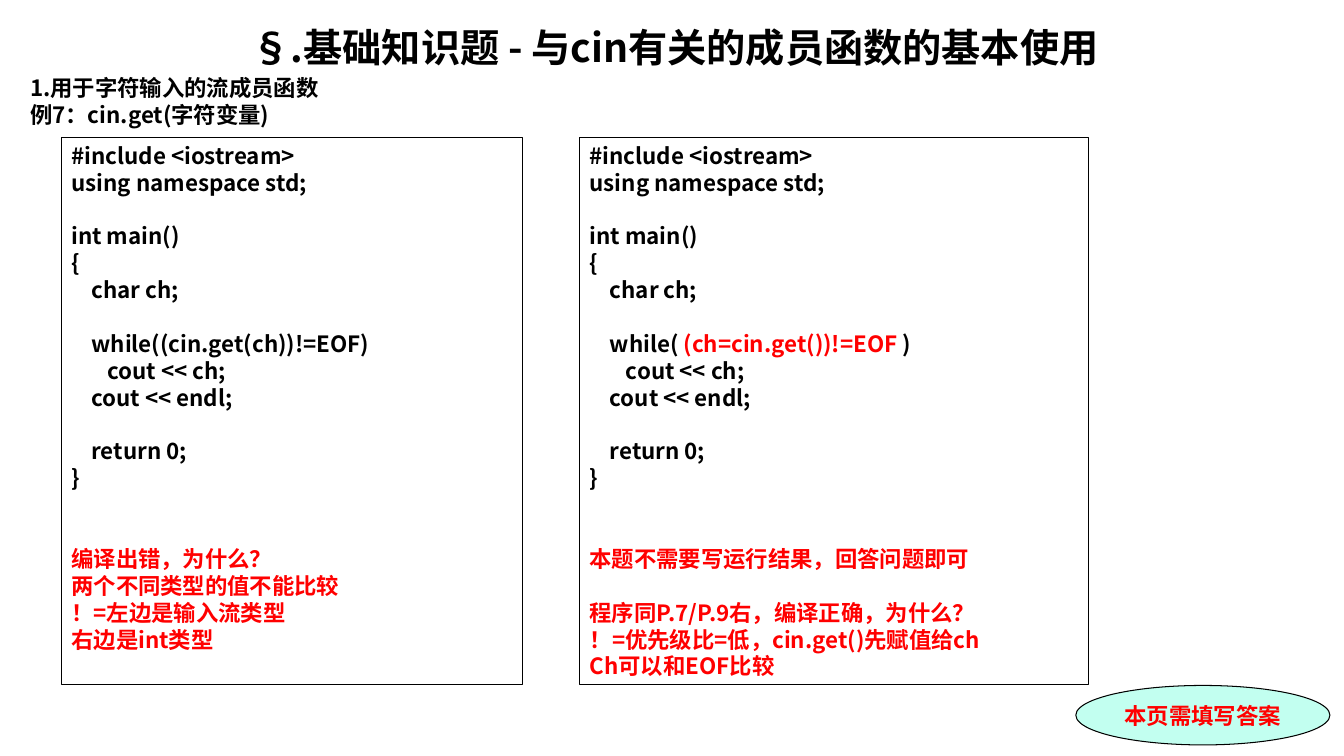
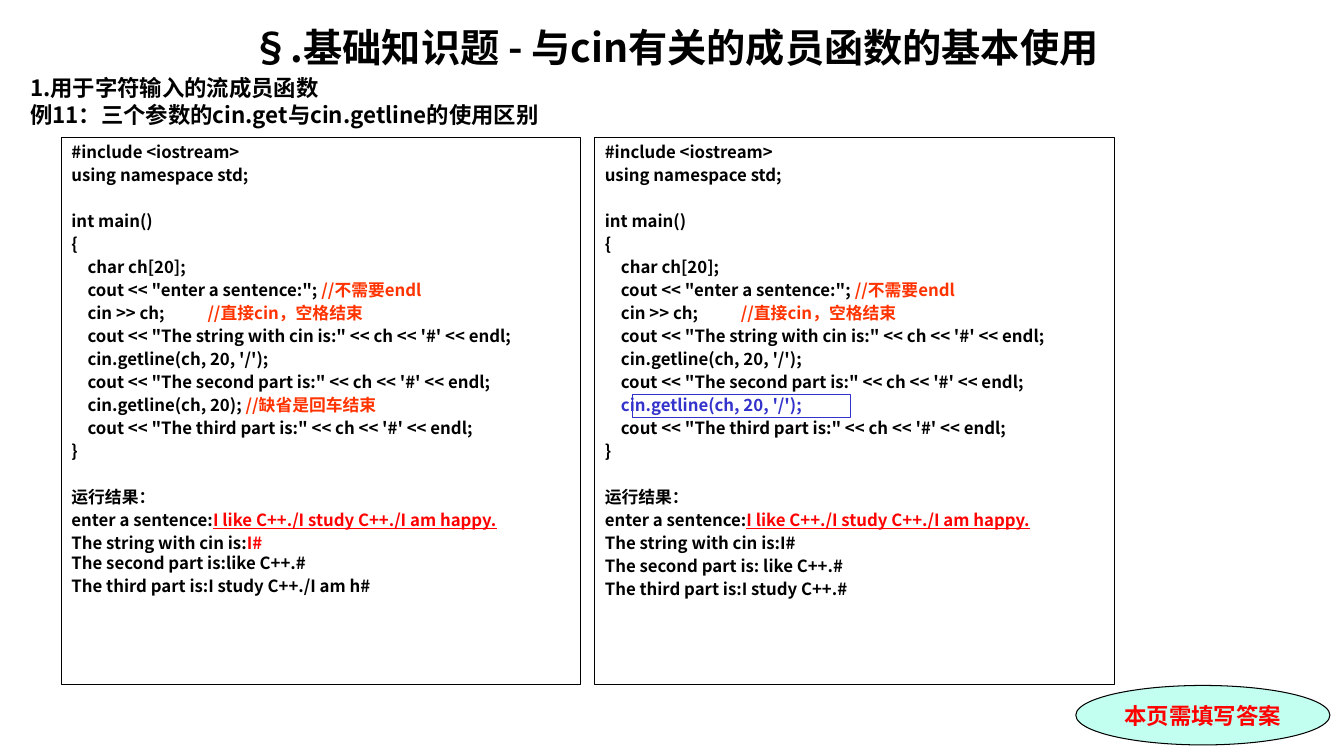
"""Builds two exercise slides about the input member functions of cin."""
from dataclasses import dataclass
from typing import NamedTuple

from lxml import etree
from pptx import Presentation
from pptx.dml.color import RGBColor
from pptx.enum.shapes import MSO_SHAPE
from pptx.enum.text import MSO_ANCHOR, PP_ALIGN
from pptx.oxml.ns import qn
from pptx.util import Inches, Pt

RECT, OVAL = MSO_SHAPE.RECTANGLE, MSO_SHAPE.OVAL
TOP, MIDDLE = MSO_ANCHOR.TOP, MSO_ANCHOR.MIDDLE
LEFT, CENTER = PP_ALIGN.LEFT, PP_ALIGN.CENTER

BLACK = RGBColor(0x00, 0x00, 0x00)
RED = RGBColor(0xFF, 0x00, 0x00)
ORANGE = RGBColor(0xFF, 0x33, 0x00)
BLUE = RGBColor(0x33, 0x33, 0xCC)
MINT = RGBColor(0xC2, 0xFF, 0xF0)

SANS, SERIF = "Noto Sans CJK SC", "Times New Roman"
LEADING = 1.2
PANEL_TOP, PANEL_HEIGHT = 1.36, 5.43
TITLE = "§.基础知识题 - 与cin有关的成员函数的基本使用"
SECTION = "1.用于字符输入的流成员函数"
BADGE = "本页需填写答案"


class Seg(NamedTuple):
    """A stretch of text in one format."""
    text: str
    color: RGBColor = BLACK
    underline: bool = False


@dataclass
class Line:
    """A line of a panel, with the number of empty lines above it."""
    segs: list[Seg]
    blanks: int = 0
    joined: bool = False


@dataclass
class Panel:
    """A framed listing."""
    left: float
    width: float
    lines: list[Line]


@dataclass
class Style:
    """The text size, paragraph gap and tab stops of a listing."""
    size: int
    gap: int
    tabs: tuple[float, ...]


LARGE = Style(16, 0, (0.2, 0.36))
SMALL = Style(12, 2, (0.16, 1.35))


def line(text: str, blanks: int = 0, color: RGBColor = BLACK) -> Line:
    """Make a line of one colour."""
    return Line([Seg(text, color)], blanks)


HEAD = [line("#include <iostream>"), line("using namespace std;"),
        line("int main()", 1), line("{")]


def loop_lines(loop: list[Seg], answer: list[Line]) -> list[Line]:
    """List the character loop and the answer below it."""
    return [*HEAD, line("\tchar ch;"), Line(loop, 1), line("\t\tcout << ch;"),
            line("\tcout << endl;"), line("\treturn 0;", 1), line("}"), *answer]


def sentence_lines(third_read: list[Seg], results: list[Line]) -> list[Line]:
    """List the sentence program and its results."""
    def show(part: str) -> Line:
        return line(f"\tcout << \"The {part} is:\" << ch << '#' << endl;")

    return [
        *HEAD,
        line("\tchar ch[20];"),
        Line([Seg('\tcout << "enter a sentence:"; '), Seg("//不需要endl", ORANGE)]),
        Line([Seg("\tcin >> ch;\t"), Seg("//直接cin，空格结束", ORANGE)]),
        show("string with cin"),
        line("\tcin.getline(ch, 20, '/');"),
        show("second part"),
        Line(third_read),
        show("third part"),
        line("}"),
        line("运行结果：", 1),
        Line([Seg("enter a sentence:"),
              Seg("I like C++./I study C++./I am happy.", RED, True)]),
        *results,
    ]


def format_run(r, size: int, color: RGBColor, font: str = SANS) -> None:
    """Set the bold font of a run for Latin and Chinese text."""
    r.font.size = Pt(size)
    r.font.bold = True
    r.font.color.rgb = color
    r.font.name = font
    etree.SubElement(r.font._element, qn("a:ea")).set("typeface", SANS)


def set_spacing(p, size: int, before: float) -> None:
    """Set the line pitch and the space above a paragraph."""
    p.line_spacing = Pt(size * LEADING)
    p.space_before = Pt(before)


def add_tabs(p, stops: tuple[float, ...]) -> None:
    """Give a paragraph left tab stops."""
    tabs = etree.SubElement(p._p.get_or_add_pPr(), qn("a:tabLst"))
    for stop in stops:
        tab = etree.SubElement(tabs, qn("a:tab"))
        tab.set("pos", str(Inches(stop)))
        tab.set("algn", "l")


def add_outline(s, kind, left: float, top: float, width: float, height: float,
                color: RGBColor = BLACK):
    """Draw an unfilled shape with a thin outline."""
    sp = s.shapes.add_shape(kind, Inches(left), Inches(top), Inches(width), Inches(height))
    sp.shadow.inherit = False
    sp.fill.background()
    sp.line.color.rgb = color
    sp.line.width = Pt(0.75)
    return sp


def add_heading(s, example: str) -> None:
    """Write the title, the section and the example name."""
    tf = s.shapes.add_textbox(Inches(0.2), Inches(0.18), Inches(12.99), Inches(7.09)).text_frame
    tf.word_wrap = True
    tf.text = "\n".join((TITLE, SECTION, example))
    rows = ((28, 0, CENTER), (16, 3.2, LEFT), (16, 0, LEFT))
    for p, (size, before, align) in zip(tf.paragraphs, rows):
        p.alignment = align
        set_spacing(p, size, before)
        format_run(p.runs[0], size, BLACK)


def add_panel(s, panel: Panel, style: Style) -> None:
    """Draw a framed listing."""
    sp = add_outline(s, RECT, panel.left, PANEL_TOP, panel.width, PANEL_HEIGHT)
    tf = sp.text_frame
    tf.word_wrap = True
    tf.vertical_anchor = TOP
    pitch = style.size * LEADING + style.gap
    for i, row in enumerate(panel.lines):
        p = tf.add_paragraph() if i else tf.paragraphs[0]
        p.alignment = LEFT
        set_spacing(p, style.size, 0 if row.joined else style.gap + row.blanks * pitch)
        add_tabs(p, style.tabs)
        for seg in row.segs:
            r = p.add_run()
            r.text = seg.text
            format_run(r, style.size, seg.color)
            if seg.underline:
                r.font.underline = True


def add_badge(s) -> None:
    """Draw the oval reminder in the corner."""
    sp = add_outline(s, OVAL, 10.67, 6.8, 2.52, 0.59)
    sp.fill.solid()
    sp.fill.fore_color.rgb = MINT
    tf = sp.text_frame
    tf.text = BADGE
    tf.vertical_anchor = MIDDLE
    p = tf.paragraphs[0]
    p.alignment = CENTER
    set_spacing(p, 16, 0)
    format_run(p.runs[0], 16, RED, SERIF)


def add_exercise(prs, example: str, panels: list[Panel], style: Style):
    """Add a slide with a heading, listings and the reminder."""
    s = prs.slides.add_slide(prs.slide_layouts[6])
    add_heading(s, example)
    for panel in panels:
        add_panel(s, panel, style)
    add_badge(s)
    return s


def main() -> None:
    """Build and save the presentation."""
    prs = Presentation()
    prs.slide_width, prs.slide_height = Inches(13.33), Inches(7.5)

    wrong = loop_lines([Seg("\twhile((cin.get(ch))!=EOF)")], [
        line("编译出错，为什么？", 2, RED),
        line("两个不同类型的值不能比较", color=RED),
        line("！=左边是输入流类型", color=RED),
        line("右边是int类型", color=RED),
    ])
    right = loop_lines([Seg("\twhile( "), Seg("(ch=cin.get())!=EOF ", RED), Seg(")")], [
        line("本题不需要写运行结果，回答问题即可", 2, RED),
        line("程序同P.7/P.9右，编译正确，为什么？", 1, RED),
        line("！=优先级比=低，cin.get()先赋值给ch", color=RED),
        line("Ch可以和EOF比较", color=RED),
    ])
    add_exercise(prs, "例7：cin.get(字符变量)",
                 [Panel(0.61, 4.57, wrong), Panel(5.75, 5.05, right)], LARGE)

    to_newline = sentence_lines(
        [Seg("\tcin.getline(ch, 20); "), Seg("//缺省是回车结束", ORANGE)], [
            Line([Seg("The string with cin is:"), Seg("I#", RED)]),
            Line([Seg("The second part is:like C++.#")], joined=True),
            line("The third part is:I study C++./I am h#"),
        ])
    to_slash = sentence_lines([Seg("\tcin.getline(ch, 20, '/');", BLUE)], [
        line("The string with cin is:I#"),
        line("The second part is: like C++.#"),
        line("The third part is:I study C++.#"),
    ])
    s = add_exercise(prs, "例11：三个参数的cin.get与cin.getline的使用区别",
                     [Panel(0.61, 5.15, to_newline), Panel(5.9, 5.15, to_slash)], SMALL)
    add_outline(s, RECT, 6.27, 3.91, 2.17, 0.23, BLUE)

    prs.save("out.pptx")


if __name__ == "__main__":
    main()
